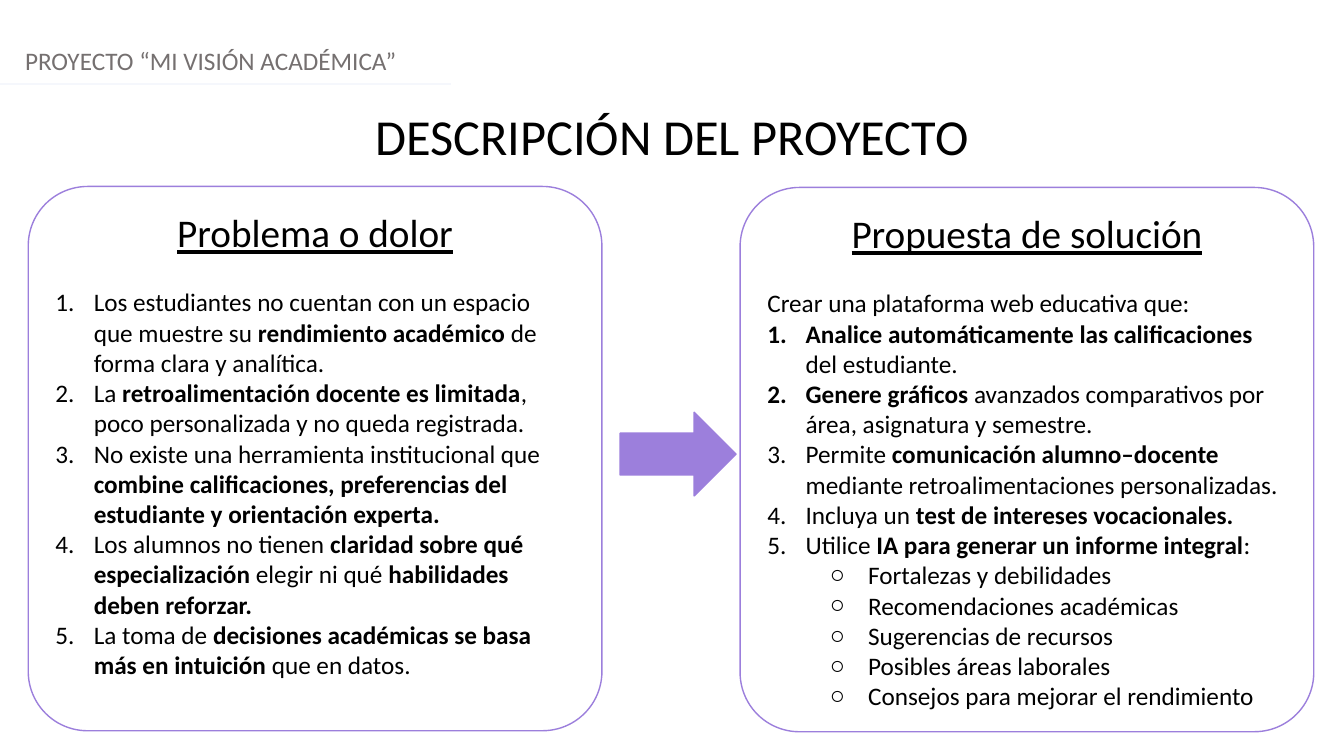
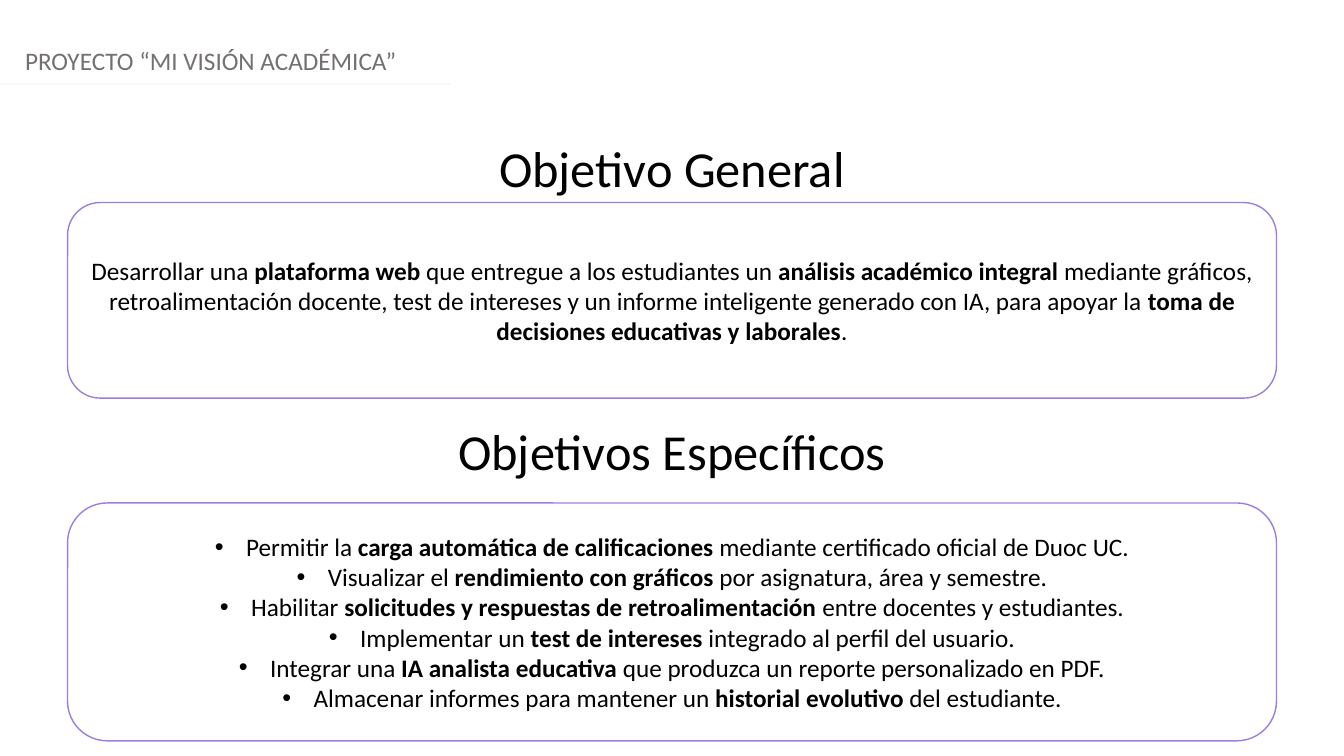
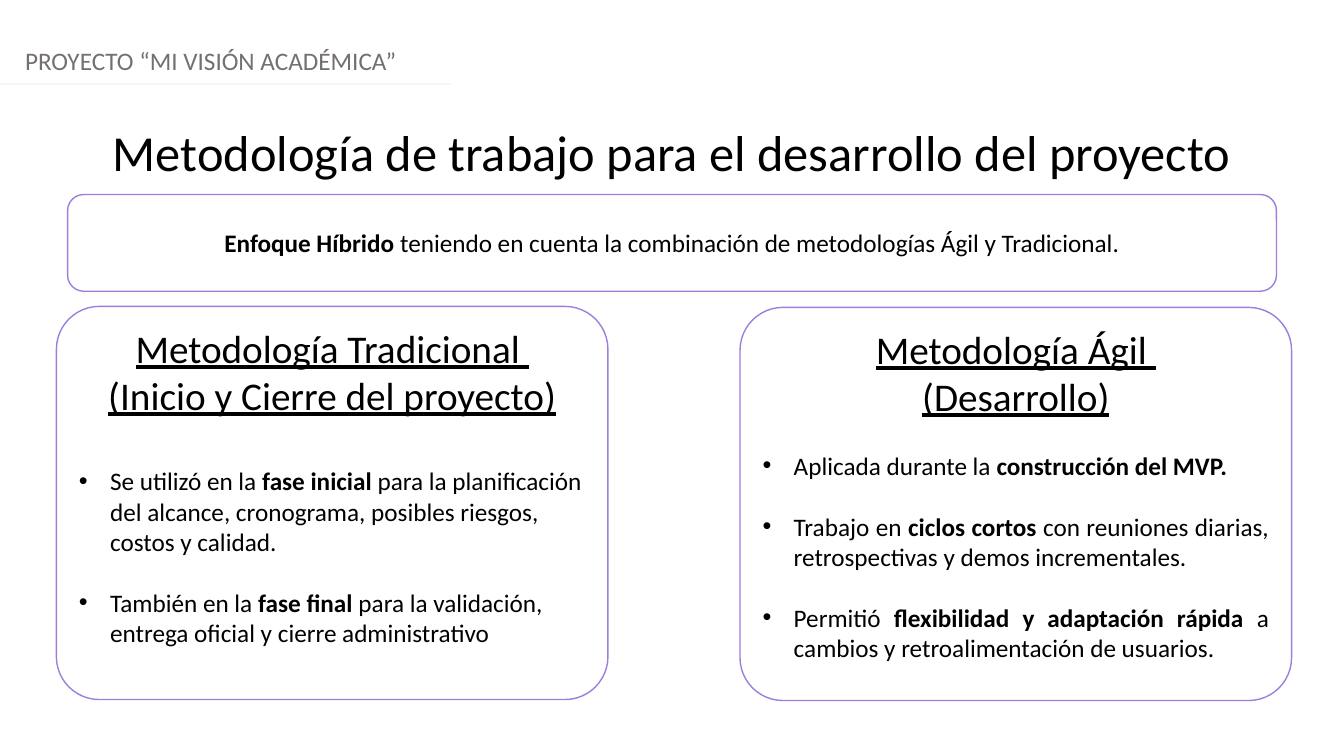
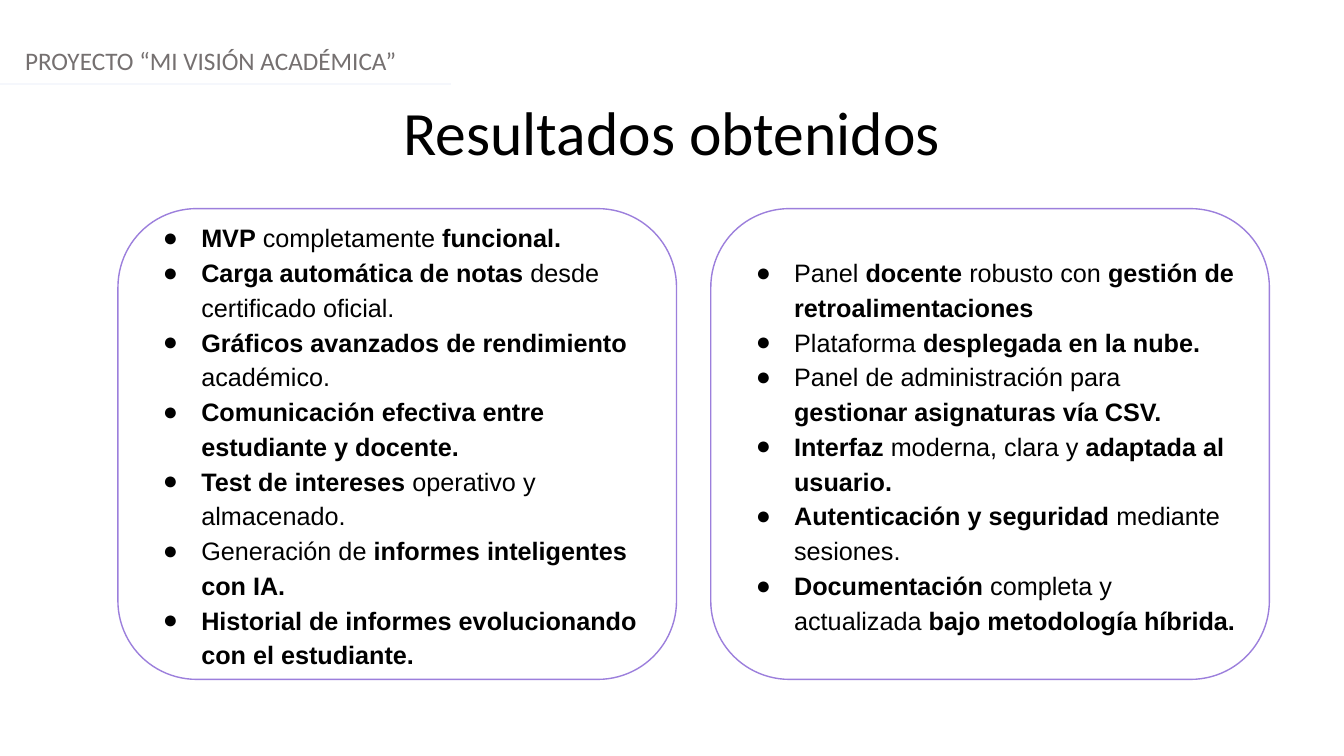
import pptx
import pptx.util
import pptx.dml.color
import pptx.enum.shapes
import pptx.enum.text
import pptx.oxml
import pptx.oxml.ns
from lxml import etree

PX = 9144
BLACK = pptx.dml.color.RGBColor(0x00, 0x00, 0x00)
WHITE = pptx.dml.color.RGBColor(0xFF, 0xFF, 0xFF)
GRAY = pptx.dml.color.RGBColor(0x75, 0x70, 0x70)
PURPLE = pptx.dml.color.RGBColor(0x9C, 0x7F, 0xDC)
PALE = pptx.dml.color.RGBColor(0xF5, 0xF7, 0xFC)

SHAPES = pptx.enum.shapes.MSO_SHAPE
ALIGN = pptx.enum.text.PP_ALIGN
ANCHOR = pptx.enum.text.MSO_ANCHOR
LINE_GAP = 22
HEADING_GAP = 34
NUMBERED = "1."


def px(*lengths):
    return [pptx.util.Emu(length * PX) for length in lengths]


def add_bullet(paragraph, bullet, indent, hanging):
    properties = paragraph._p.get_or_add_pPr()
    properties.set("marL", str(indent * PX))
    properties.set("indent", str(-hanging * PX))
    color = etree.SubElement(properties, pptx.oxml.ns.qn("a:buClr"))
    etree.SubElement(color, pptx.oxml.ns.qn("a:srgbClr"), val=str(BLACK))
    if bullet == NUMBERED:
        etree.SubElement(properties, pptx.oxml.ns.qn("a:buAutoNum"), type="arabicPeriod")
    else:
        etree.SubElement(properties, pptx.oxml.ns.qn("a:buFont"), typeface="Arial")
        etree.SubElement(properties, pptx.oxml.ns.qn("a:buChar"), char=bullet)


def write(frame, lines, size=18, font="Calibri", color=BLACK, underline=False, align=ALIGN.LEFT,
          bullet=None, indent=31, hanging=31, before=0, between=0, spacing=None):
    for index, line in enumerate(lines):
        first = not frame.paragraphs[0].runs
        paragraph = frame.paragraphs[0] if first else frame.add_paragraph()
        paragraph.alignment = align
        gap = between if index else before
        if gap and not first:
            paragraph.space_before = pptx.util.Pt(gap)
        if spacing:
            paragraph.line_spacing = spacing
        if bullet:
            add_bullet(paragraph, bullet, indent, hanging)
        for position, part in enumerate(line.split("**")):
            if part:
                run = paragraph.add_run()
                run.text = part
                run.font.size = pptx.util.Pt(size)
                run.font.name = font
                run.font.bold = position % 2 == 1
                run.font.underline = underline
                run.font.color.rgb = color


class Deck:
    def __init__(self):
        self.presentation = pptx.Presentation()
        self.presentation.slide_width, self.presentation.slide_height = px(1333, 750)
        self.slide = None

    def add_slide(self):
        self.slide = self.presentation.slides.add_slide(self.presentation.slide_layouts[6])
        self.text(15, 40, 1318, 40, "PROYECTO “MI VISIÓN ACADÉMICA”", color=GRAY)
        self.rule(0, 83, 447)

    def text(self, left, top, width, height, text, **style):
        frame = self.slide.shapes.add_textbox(*px(left, top, width, height)).text_frame
        frame.word_wrap = True
        write(frame, [text], **style)

    def title(self, top, text, size=36):
        self.text(0, top, 1333, 2 * size, text, size=size, align=ALIGN.CENTER)

    def rule(self, left, top, right):
        line = self.slide.shapes.add_connector(
            pptx.enum.shapes.MSO_CONNECTOR.STRAIGHT, *px(left, top, right, top))
        line.line.color.rgb = PALE
        line.line.width = pptx.util.Pt(1.25)
        etree.SubElement(line._element.spPr, pptx.oxml.ns.qn("a:effectLst"))

    def shape(self, kind, left, top, width, height, fill):
        shape = self.slide.shapes.add_shape(kind, *px(left, top, width, height))
        shape.shadow.inherit = False
        shape.fill.solid()
        shape.fill.fore_color.rgb = fill
        shape.line.color.rgb = PURPLE
        shape.line.width = pptx.util.Pt(1)
        return shape

    def panel(self, left, top, width, height, corner=0.167, anchor=ANCHOR.MIDDLE):
        shape = self.shape(SHAPES.ROUNDED_RECTANGLE, left, top, width, height, WHITE)
        shape.adjustments[0] = corner
        frame = shape.text_frame
        frame.word_wrap = True
        frame.vertical_anchor = anchor
        return frame

    def headed_panel(self, left, top, width, height, *heading):
        frame = self.panel(left, top, width, height, 0.109, ANCHOR.TOP)
        write(frame, heading, size=28, underline=True, align=ALIGN.CENTER)
        return frame

    def arrow(self, left, top, width, height):
        self.shape(SHAPES.RIGHT_ARROW, left, top, width, height, PURPLE)


def description_slide(deck):
    deck.add_slide()
    deck.title(99, "DESCRIPCIÓN DEL PROYECTO")
    numbers = dict(bullet=NUMBERED, indent=38, hanging=38)
    problem = deck.headed_panel(28, 185, 569, 540, "Problema o dolor")
    write(problem, [
        "Los estudiantes no cuentan con un espacio que muestre su **rendimiento académico** de forma clara y analítica.",
        "La **retroalimentación docente es limitada**, poco personalizada y no queda registrada.",
        "No existe una herramienta institucional que **combine calificaciones, preferencias del estudiante y orientación experta.**",
        "Los alumnos no tienen **claridad sobre qué especialización** elegir ni qué **habilidades deben reforzar.**",
        "La toma de **decisiones académicas se basa más en intuición** que en datos.",
    ], before=LINE_GAP, **numbers)
    solution = deck.headed_panel(734, 186, 569, 540, "Propuesta de solución")
    write(solution, ["Crear una plataforma web educativa que:"], before=LINE_GAP)
    write(solution, [
        "**Analice automáticamente las calificaciones** del estudiante.",
        "**Genere gráficos** avanzados comparativos por área, asignatura y semestre.",
        "Permite **comunicación alumno–docente** mediante retroalimentaciones personalizadas.",
        "Incluya un **test de intereses vocacionales.**",
        "Utilice **IA para generar un informe integral**:",
    ], **numbers)
    write(solution, [
        "Fortalezas y debilidades",
        "Recomendaciones académicas",
        "Sugerencias de recursos",
        "Posibles áreas laborales",
        "Consejos para mejorar el rendimiento",
    ], bullet="○", indent=100, hanging=38)
    deck.arrow(615, 409, 115, 83)


def objectives_slide(deck):
    deck.add_slide()
    deck.title(131, "Objetivo General")
    deck.title(412, "Objetivos Específicos")
    write(deck.panel(67, 201, 1199, 194), [
        "Desarrollar una **plataforma web** que entregue a los estudiantes un **análisis académico integral **"
        "mediante gráficos, retroalimentación docente, test de intereses y un informe inteligente generado con IA, "
        "para apoyar la **toma de decisiones educativas y laborales**.",
    ], align=ALIGN.CENTER)
    write(deck.panel(67, 499, 1199, 236), [
        "Permitir la **carga automática de calificaciones** mediante certificado oficial de Duoc UC.",
        "Visualizar el **rendimiento con gráficos** por asignatura, área y semestre.",
        "Habilitar **solicitudes y respuestas de retroalimentación** entre docentes y estudiantes.",
        "Implementar un **test de intereses** integrado al perfil del usuario.",
        "Integrar una **IA analista educativa** que produzca un reporte personalizado en PDF.",
        "Almacenar informes para mantener un **historial evolutivo **del estudiante.",
    ], align=ALIGN.CENTER, bullet="•")


def methodology_slide(deck):
    deck.add_slide()
    deck.title(115, "Metodología de trabajo para el desarrollo del proyecto")
    write(deck.panel(67, 193, 1199, 96), [
        "**Enfoque Híbrido **teniendo en cuenta la combinación de metodologías Ágil y Tradicional.",
    ], align=ALIGN.CENTER)
    traditional = deck.headed_panel(
        56, 304, 547, 390, "Metodología Tradicional ", "(Inicio y Cierre del proyecto)")
    write(traditional, [
        "Se utilizó en la **fase inicial** para la planificación del alcance, cronograma, posibles riesgos, costos y calidad.",
        "También en la **fase final** para la validación, entrega oficial y cierre administrativo",
    ], bullet="•", before=HEADING_GAP, between=LINE_GAP)
    agile = deck.headed_panel(734, 305, 547, 390, "Metodología Ágil ", "(Desarrollo)")
    write(agile, [
        "Aplicada durante la **construcción del MVP.**",
        "Trabajo en **ciclos cortos** con reuniones diarias, retrospectivas y demos incrementales.",
        "Permitió **flexibilidad y adaptación rápida** a cambios y retroalimentación de usuarios.",
    ], align=ALIGN.JUSTIFY, bullet="•", before=LINE_GAP, between=LINE_GAP)


def results_slide(deck):
    deck.add_slide()
    deck.title(88, "Resultados obtenidos", size=44)
    columns = [
        [
            "**MVP** completamente **funcional.**",
            "**Carga automática de notas** desde certificado oficial.",
            "**Gráficos avanzados de rendimiento **académico.",
            "**Comunicación efectiva entre estudiante y docente.**",
            "**Test de intereses** operativo y almacenado.",
            "Generación de **informes inteligentes con IA.**",
            "**Historial de informes evolucionando con el estudiante.**",
        ],
        [
            "Panel **docente **robusto con **gestión de retroalimentaciones**",
            "Plataforma **desplegada en la nube.**",
            "Panel de administración para **gestionar asignaturas vía CSV.**",
            "**Interfaz **moderna, clara y **adaptada al usuario.**",
            "**Autenticación y seguridad** mediante sesiones.",
            "**Documentación **completa y actualizada **bajo metodología híbrida.**",
        ],
    ]
    for index, results in enumerate(columns):
        write(deck.panel(117 + 588 * index, 207, 554, 467), results,
              font="Arial", bullet="●", indent=50, hanging=38, spacing=1.15)


def main():
    deck = Deck()
    description_slide(deck)
    objectives_slide(deck)
    methodology_slide(deck)
    results_slide(deck)
    deck.presentation.save("out.pptx")


if __name__ == "__main__":
    main()
